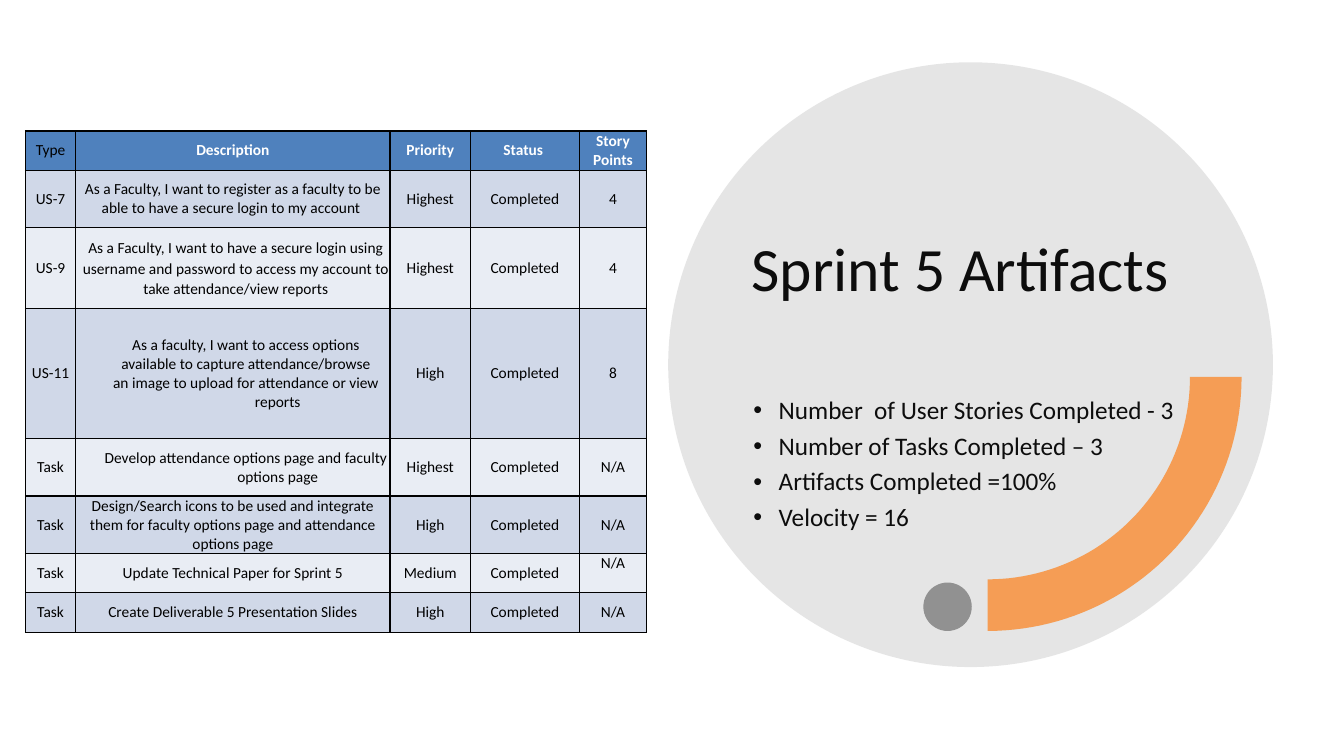
from math import cos, radians, sin

from lxml import etree
from pptx import Presentation
from pptx.dml.color import RGBColor
from pptx.enum import shapes as kinds, text as t
from pptx.oxml import ns
from pptx.util import Cm, Pt

FONT = "Calibri"
BLACK = RGBColor(0x00, 0x00, 0x00)
WHITE = RGBColor(0xFF, 0xFF, 0xFF)
INK = RGBColor(0x0D, 0x0D, 0x0D)
GREY = RGBColor(0x80, 0x80, 0x80)
DARK = RGBColor(0x59, 0x59, 0x59)
ORANGE = RGBColor(0xF7, 0x96, 0x46)
BLUE = RGBColor(0x4F, 0x81, 0xBD)
BANDS = RGBColor(0xE9, 0xED, 0xF4), RGBColor(0xD0, 0xD8, 0xE8)

TITLE = "Sprint 5 Artifacts"
POINTS = [
    "Number  of User Stories Completed - 3",
    "Number of Tasks Completed – 3",
    "Artifacts Completed =100%",
    "Velocity = 16",
]
ROWS = [
    ("Type", "Description", "Priority", "Status ", "Story Points"),
    ("US-7", "As a Faculty, I want to register as a faculty to be able to have "
     "a secure login to my account ", "Highest", "Completed", "4"),
    ("US-9", "As a Faculty, I want to have a secure login using username and "
     "password to access my account to take attendance/view reports",
     "Highest", "Completed", "4"),
    ("US-11", "As a faculty, I want to access options\n"
     "available to capture attendance/browse\n"
     "an image to upload for attendance or view reports",
     "High", "Completed", "8"),
    ("Task", "Develop attendance options page and faculty options page",
     "Highest", "Completed", "N/A"),
    ("Task", "Design/Search icons to be used and integrate them for faculty "
     "options page and attendance options page", "High", "Completed", "N/A"),
    ("Task", "Update Technical Paper for Sprint 5", "Medium", "Completed", "N/A"),
    ("Task", "Create Deliverable 5 Presentation Slides", "High", "Completed", "N/A"),
]
WIDTHS = 1.27, 7.92, 2.03, 2.74, 1.7
HEIGHTS = 0.99, 1.45, 2.03, 3.28, 1.45, 1.45, 0.99, 0.99
# (row, column): left margin, first-line indent, line spacing
INDENTS = {(2, 1): (0.15, 0, 1.07), (3, 1): (2.26, -1.6, 1), (4, 1): (2.26, -1.6, 1)}
TOP_CELL = 6, 4


def paint(shape, color, alpha):
    """Fill with a colour at alpha percent, without line or shadow."""
    shape.shadow.inherit = False
    shape.line.fill.background()
    shape.fill.solid()
    shape.fill.fore_color.rgb = color
    tint = shape.element.spPr.find(ns.qn("a:solidFill"))[0]
    etree.SubElement(tint, ns.qn("a:alpha"), val=str(alpha * 1000))


def disc(left, top, size, color, alpha):
    oval = slide.shapes.add_shape(
        kinds.MSO_SHAPE.OVAL, Cm(left), Cm(top), Cm(size), Cm(size))
    paint(oval, color, alpha)


def arc(x, y, outer, inner, color, alpha):
    """Draw the lower right quarter of a ring centred on x, y."""
    def edge(radius, angles):
        return [(Cm(x + radius * cos(radians(a))), Cm(y + radius * sin(radians(a))))
                for a in angles]

    dots = edge(outer, range(0, 91, 2)) + edge(inner, range(90, -1, -2))
    pen = slide.shapes.build_freeform(*dots[0])
    pen.add_line_segments(dots[1:], close=True)
    paint(pen.convert_to_shape(), color, alpha)


def style(para, size, color, bold=False):
    para.font.name = FONT
    para.font.size = Pt(size)
    para.font.bold = bold
    para.font.color.rgb = color


def indent(para, left, first):
    props = para._p.get_or_add_pPr()
    props.set("marL", str(Cm(left)))
    props.set("indent", str(Cm(first)))
    return props


def place(holder, left, top, width, height, anchor):
    """Move a placeholder and bring it in front of what is drawn so far."""
    holder.left, holder.top = Cm(left), Cm(top)
    holder.width, holder.height = Cm(width), Cm(height)
    frame = holder.text_frame
    frame.vertical_anchor = anchor
    frame.auto_size = t.MSO_AUTO_SIZE.NONE
    frame.word_wrap = True
    holder.element.getparent().append(holder.element)
    return frame


def border(cell):
    props = cell._tc.get_or_add_tcPr()
    for side in ("lnL", "lnR", "lnT", "lnB"):
        line = etree.SubElement(props, ns.qn("a:" + side), w=str(Pt(1)))
        fill = etree.SubElement(line, ns.qn("a:solidFill"))
        etree.SubElement(fill, ns.qn("a:srgbClr"), val=str(BLACK))


def write(cell, row, col, words):
    head = row == 0
    bold = head and col > 0
    border(cell)
    cell.fill.solid()
    cell.fill.fore_color.rgb = BLUE if head else BANDS[row % 2]
    cell.margin_left = cell.margin_right = cell.margin_top = cell.margin_bottom = 0
    top = (row, col) == TOP_CELL
    cell.vertical_anchor = t.MSO_ANCHOR.TOP if top else t.MSO_ANCHOR.MIDDLE
    cell.text = words
    for para in cell.text_frame.paragraphs:
        para.alignment = t.PP_ALIGN.CENTER
        if (row, col) in INDENTS:
            left, first, para.line_spacing = INDENTS[row, col]
            indent(para, left, first)
        style(para, 11, WHITE if bold else BLACK, bold)


deck = Presentation()
deck.slide_width, deck.slide_height = Cm(33.87), Cm(19.05)
slide = deck.slides.add_slide(deck.slide_layouts[1])
title, body = slide.placeholders

disc(16.84, 1.57, 15.24, GREY, 20)

frame = place(title, 18.69, 3.3, 11.58, 4.5, t.MSO_ANCHOR.BOTTOM)
frame.text = TITLE
head = frame.paragraphs[0]
head.alignment = t.PP_ALIGN.LEFT
head.line_spacing = 0.9
style(head, 44, INK)

disc(23.27, 14.68, 1.22, DARK, 60)
arc(24.89, 9.5, 6.4, 5.1, ORANGE, 90)

frame = place(body, 18.42, 9.9, 11.58, 5.94, t.MSO_ANCHOR.TOP)
frame.text = "\n".join(POINTS)
for para in frame.paragraphs:
    para.line_spacing = 0.9
    para.space_before, para.space_after = Pt(0), Pt(6)
    props = indent(para, 0.95, -0.64)
    etree.SubElement(props, ns.qn("a:buFont"), typeface="Arial")
    etree.SubElement(props, ns.qn("a:buChar"), char="•")
    style(para, 18, INK)

table = slide.shapes.add_table(
    len(ROWS), len(WIDTHS), Cm(0.64), Cm(3.3),
    Cm(sum(WIDTHS)), Cm(sum(HEIGHTS))).table
for column, width in zip(table.columns, WIDTHS):
    column.width = Cm(width)
for row, (cells, height) in enumerate(zip(ROWS, HEIGHTS)):
    table.rows[row].height = Cm(height)
    for col, words in enumerate(cells):
        write(table.cell(row, col), row, col, words)

deck.save("out.pptx")
